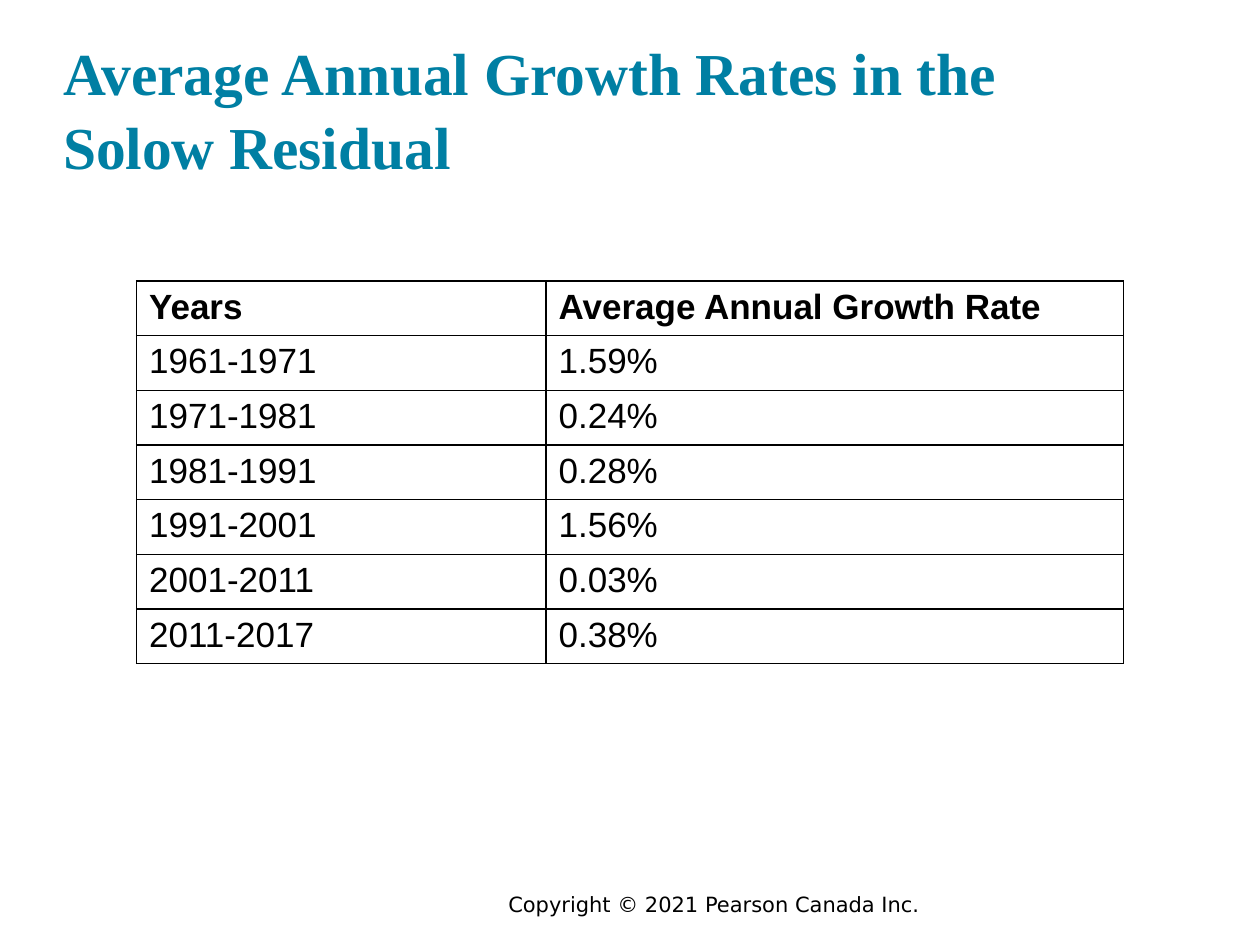
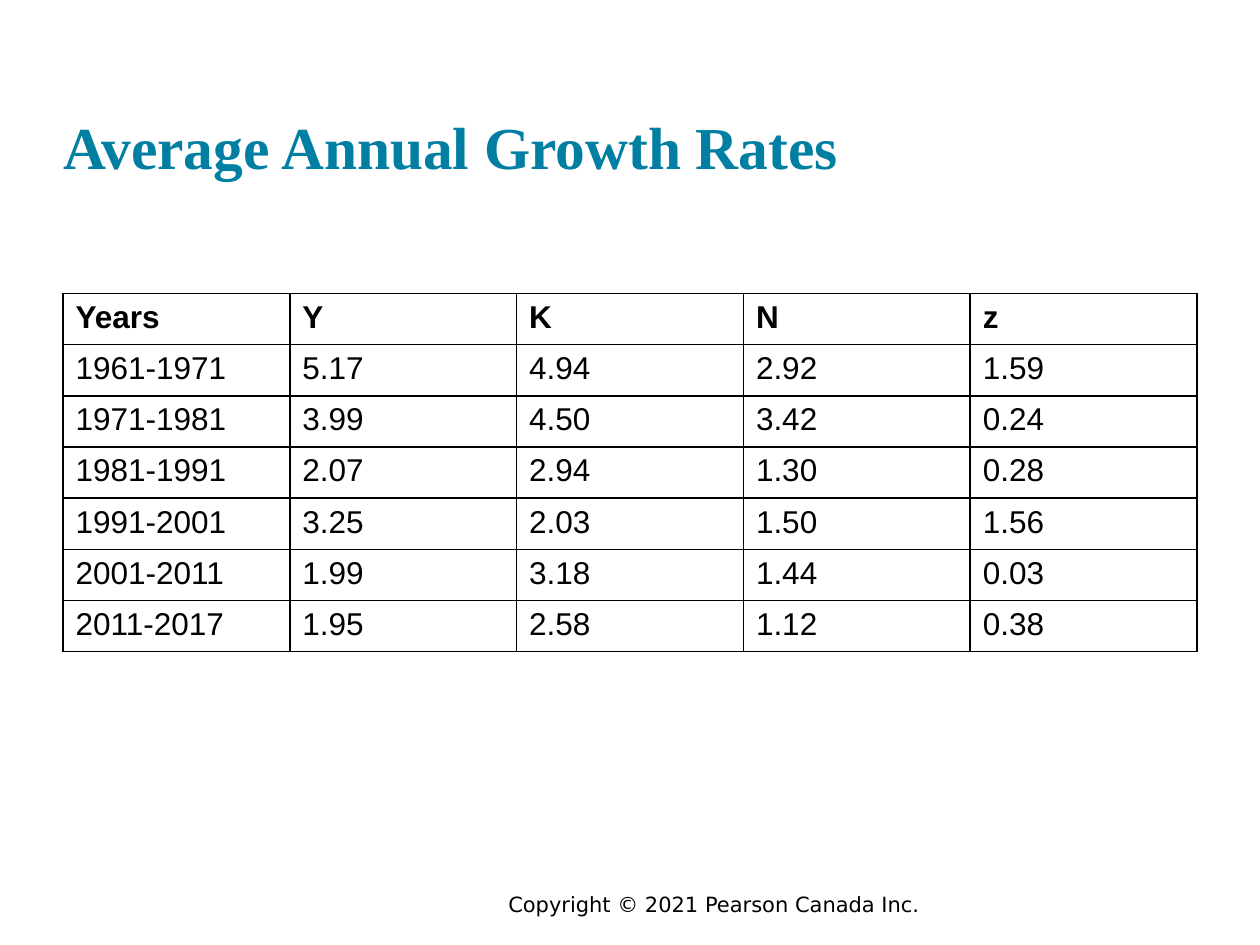
from lxml import etree
from pptx import Presentation
from pptx.dml.color import RGBColor
from pptx.enum.text import MSO_ANCHOR, MSO_AUTO_SIZE, PP_ALIGN
from pptx.oxml.ns import qn
from pptx.util import Pt

LEFT, CENTER = PP_ALIGN.LEFT, PP_ALIGN.CENTER
BOTTOM = MSO_ANCHOR.BOTTOM
NO_AUTOFIT = MSO_AUTO_SIZE.NONE

TEAL, BLACK = "007FA3", "000000"
TITLE_FONT, TABLE_FONT, FOOTER_FONT = "Times New Roman", "Arial", "DejaVu Sans"
TITLE_BOX = (36, 17.25, 648, 86.4)
FOOTER_BOX = (126, 506, 564, 21.6)
FOOTER_TEXT = "Copyright © 2021 Pearson Canada Inc."

PERIODS = ["1961-1971", "1971-1981", "1981-1991", "1991-2001", "2001-2011", "2011-2017"]
OUTPUT = ["5.17", "3.99", "2.07", "3.25", "1.99", "1.95"]
CAPITAL = ["4.94", "4.50", "2.94", "2.03", "3.18", "2.58"]
LABOUR = ["2.92", "3.42", "1.30", "1.50", "1.44", "1.12"]
RESIDUAL = ["1.59", "0.24", "0.28", "1.56", "0.03", "0.38"]


def color(hex_value):
    return RGBColor.from_string(hex_value)


def write(frame, text, font, size, fill=BLACK, bold=False, align=LEFT, spacing=None):
    frame.text = text
    for para in frame.paragraphs:
        para.alignment = align
        para.line_spacing = spacing
        for span in para.runs:
            span.font.name = font
            span.font.size = Pt(size)
            span.font.bold = bold
            span.font.color.rgb = color(fill)


def add_title(page, text, box):
    title = page.shapes.title
    title.left, title.top, title.width, title.height = map(Pt, box)
    frame = title.text_frame
    frame.margin_left = frame.margin_top = frame.margin_right = frame.margin_bottom = 0
    frame.vertical_anchor = BOTTOM
    frame.word_wrap = True
    frame.auto_size = NO_AUTOFIT
    write(frame, text, TITLE_FONT, 34, fill=TEAL, bold=True, spacing=1.04)


def add_footer(page, box):
    frame = page.shapes.add_textbox(*map(Pt, box)).text_frame
    frame.word_wrap = True
    write(frame, FOOTER_TEXT, FOOTER_FONT, 12, align=CENTER)


def outline_cell(cell, width=1):
    properties = cell._tc.get_or_add_tcPr()
    for index, side in enumerate(("lnL", "lnR", "lnT", "lnB")):
        line = etree.Element(qn(f"a:{side}"), w=str(Pt(width)))
        fill = etree.SubElement(line, qn("a:solidFill"))
        etree.SubElement(fill, qn("a:srgbClr"), val=BLACK)
        properties.insert(index, line)


def add_rate_table(page, columns, left, top, widths, row_height, size):
    """Place a ruled table; columns maps each heading to its values."""
    rows = [list(columns), *zip(*columns.values())]
    shape = page.shapes.add_table(len(rows), len(widths), Pt(left), Pt(top),
                                  Pt(sum(widths)), Pt(row_height * len(rows)))
    table = shape.table
    table.first_row = table.horz_banding = False
    for column, width in zip(table.columns, widths):
        column.width = Pt(width)
    for r, row in enumerate(rows):
        for c, text in enumerate(row):
            cell = table.cell(r, c)
            cell.fill.background()
            outline_cell(cell)
            write(cell.text_frame, text, TABLE_FONT, size, bold=r == 0)


def add_page(deck, title):
    page = deck.slides.add_slide(deck.slide_layouts[5])
    add_footer(page, FOOTER_BOX)
    add_title(page, title, TITLE_BOX)
    return page


def main():
    deck = Presentation()
    deck.slide_width, deck.slide_height = Pt(720), Pt(540)

    page = add_page(deck, "Average Annual Growth Rates in the\vSolow Residual")
    residual = {"Years": PERIODS,
                "Average Annual Growth Rate": [f"{rate}%" for rate in RESIDUAL]}
    add_rate_table(page, residual, left=78, top=160.6, widths=[234, 330],
                   row_height=29.5, size=20)

    page = add_page(deck, "Average Annual Growth Rates")
    rates = {"Years": PERIODS, "Y": OUTPUT, "K": CAPITAL, "N": LABOUR, "z": RESIDUAL}
    add_rate_table(page, rates, left=36, top=167.75, widths=[648 / len(rates)] * len(rates),
                   row_height=29.25, size=18)

    deck.save("out.pptx")


if __name__ == "__main__":
    main()
